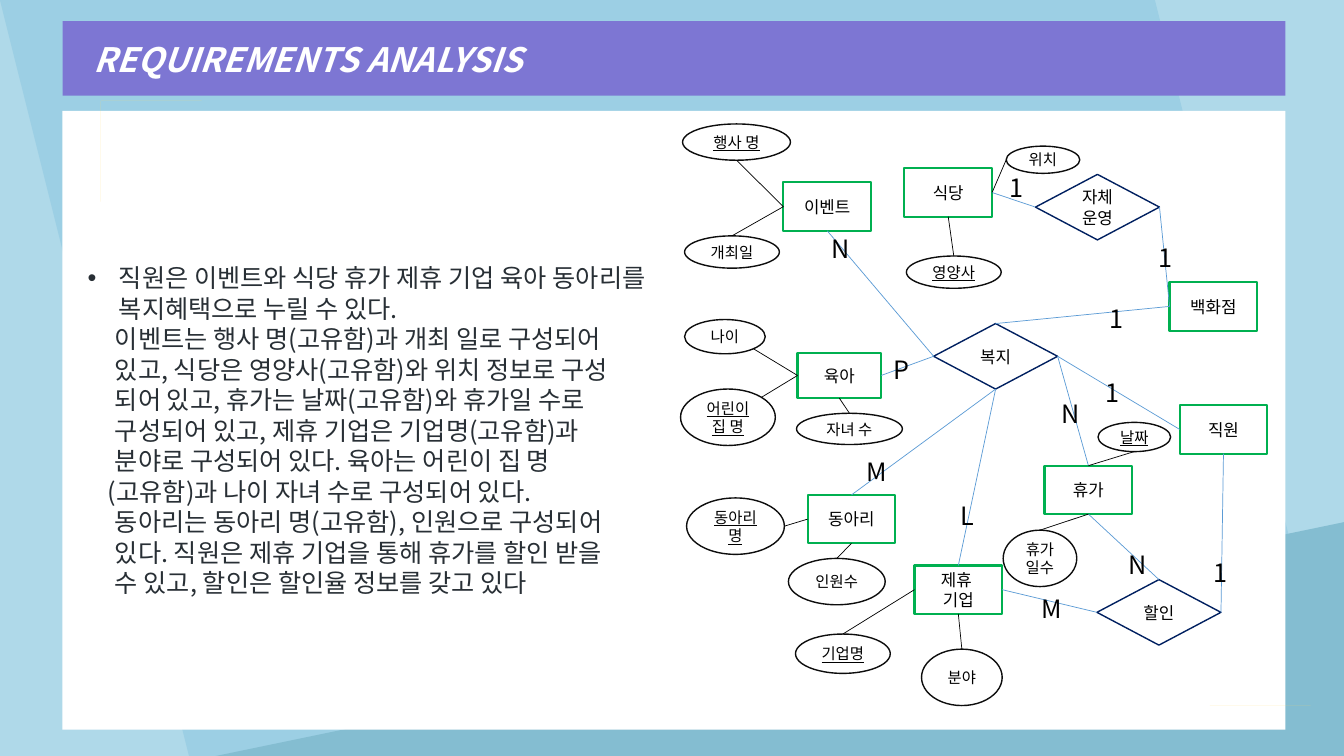
from math import cos, radians, sin

from lxml.etree import SubElement
from pptx import Presentation
from pptx.dml.color import RGBColor
from pptx.enum.shapes import MSO_CONNECTOR, MSO_SHAPE
from pptx.enum.text import MSO_ANCHOR, MSO_AUTO_SIZE, PP_ALIGN
from pptx.oxml.ns import qn
from pptx.util import Inches, Pt

FONT = "Noto Sans CJK KR"
PALE, SKY, TEAL = RGBColor(0xAF, 0xD9, 0xE9), RGBColor(0x9C, 0xCF, 0xE4), RGBColor(0x84, 0xBD, 0xD1)
PURPLE, YELLOW = RGBColor(0x7D, 0x76, 0xD3), RGBColor(0xFF, 0xD9, 0x66)
WHITE, BLACK, INK = RGBColor(255, 255, 255), RGBColor(0, 0, 0), RGBColor(0x28, 0x2F, 0x35)
GREEN, NAVY, BLUE = RGBColor(0, 0xB0, 0x50), RGBColor(0, 0x20, 0x60), RGBColor(0x5B, 0x9B, 0xD5)
OUTLINE = RGBColor(0x0D, 0x0D, 0x0D)
TOP, LEFT, BOTTOM, RIGHT = range(4)

TITLE = "REQUIREMENTS ANALYSIS"
# Requirement lines: left indent, text
REQUIREMENTS = [
    (0.31, "직원은 이벤트와 식당 휴가 제휴 기업 육아 동아리를 복지혜택으로 누릴 수 있다."),
    (0.27, "이벤트는 행사 명(고유함)과 개최 일로 구성되어"),
    (0.27, "있고, 식당은 영양사(고유함)와 위치 정보로 구성"),
    (0.27, "되어 있고, 휴가는 날짜(고유함)와 휴가일 수로"),
    (0.27, "구성되어 있고, 제휴 기업은 기업명(고유함)과"),
    (0.27, "분야로 구성되어 있다. 육아는 어린이 집 명"),
    (0.2, "(고유함)과 나이 자녀 수로 구성되어 있다."),
    (0.27, "동아리는 동아리 명(고유함), 인원으로 구성되어"),
    (0.27, "있다. 직원은 제휴 기업을 통해 휴가를 할인 받을"),
    (0.27, "수 있고, 할인은 할인율 정보를 갖고 있다"),
]
# Entities: text, left, top, width, height
ENTITIES = [
    ("백화점", 11.6, 2.8, 0.87, 0.48), ("이벤트", 7.77, 1.81, 0.87, 0.48),
    ("식당", 8.97, 1.67, 0.87, 0.48), ("육아", 7.91, 3.5, 0.83, 0.45),
    ("휴가", 10.36, 4.62, 0.87, 0.48), ("제휴 \n기업", 9.07, 5.61, 0.87, 0.48),
    ("동아리", 8.01, 4.91, 0.87, 0.48), ("직원", 11.7, 4.02, 0.87, 0.48),
]
RELATIONSHIPS = [
    ("할인", 10.88, 5.75, 1.23, 0.65), ("복지", 9.26, 3.21, 1.23, 0.65),
    ("자체\n운영", 10.27, 1.73, 1.23, 0.65),
]
LINKS = [
    ("자체\n운영", RIGHT, "백화점", LEFT), ("식당", RIGHT, "자체\n운영", LEFT),
    ("동아리", TOP, "복지", BOTTOM), ("육아", RIGHT, "복지", LEFT),
    ("이벤트", BOTTOM, "복지", LEFT), ("복지", BOTTOM, "제휴 \n기업", TOP),
    ("복지", RIGHT, "휴가", TOP), ("휴가", BOTTOM, "할인", TOP),
    ("제휴 \n기업", RIGHT, "할인", LEFT), ("할인", RIGHT, "직원", BOTTOM),
    ("복지", TOP, "백화점", LEFT), ("복지", RIGHT, "직원", LEFT),
]
# Attributes: text, box, is key, angle where the line leaves (clockwise from right), entity, side
ATTRIBUTES = [
    ("개최일", (6.79, 2.34, 0.94, 0.32), False, 270, "이벤트", LEFT),
    ("행사 명", (6.77, 1.23, 1.07, 0.36), True, 90, "이벤트", LEFT),
    ("위치", (9.98, 1.45, 0.73, 0.27), False, 180, "식당", RIGHT),
    ("영양사", (8.99, 2.54, 0.94, 0.32), True, 270, "식당", BOTTOM),
    ("인원수", (7.82, 5.54, 0.96, 0.46), False, 270, "동아리", BOTTOM),
    ("동아리 명", (6.81, 4.94, 0.97, 0.56), True, 0, "동아리", LEFT),
    ("분야", (9.14, 6.44, 0.8, 0.56), False, 270, "제휴 \n기업", BOTTOM),
    ("기업명", (7.89, 6.29, 0.94, 0.39), True, 270, "제휴 \n기업", LEFT),
    ("휴가 일수", (9.95, 5.26, 0.73, 0.56), False, 270, "휴가", BOTTOM),
    ("날짜", (10.89, 4.19, 0.72, 0.29), True, 90, "휴가", TOP),
    ("어린이 집 명", (6.75, 3.86, 0.94, 0.56), True, 315, "육아", LEFT),
    ("자녀 수", (7.9, 4.1, 1.05, 0.31), False, 270, "육아", BOTTOM),
    ("나이", (6.79, 3.17, 0.8, 0.34), False, 45, "육아", LEFT),
]
# Cardinalities: text, left, top, width
CARDINALITIES = [
    ("1", 9.91, 1.66, 0.34), ("1", 11.39, 2.35, 0.34), ("N", 11.09, 5.4, 0.39),
    ("1", 11.94, 5.48, 0.34), ("N", 8.15, 2.26, 0.39), ("M", 8.5, 4.48, 0.43),
    ("L", 9.43, 4.91, 0.32), ("M", 10.23, 5.83, 0.43), ("P", 8.76, 3.46, 0.35),
    ("1", 10.91, 2.96, 0.34), ("1", 10.87, 3.69, 0.34), ("N", 10.43, 3.9, 0.39),
]
# Panel corners: straight points, then the four control points of the curve
CORNERS = [
    ([(0.62, 1.1), (1.65, 1.1)], [(1.54, 1.11), (1.02, 1.16), (0.62, 1.6), (0.62, 2.13)]),
    ([(12.75, 6.52), (12.75, 7.24), (12.04, 7.24)],
     [(12.06, 7.24), (12.38, 7.13), (12.63, 6.88), (12.74, 6.56)]),
]

deck = Presentation()
deck.slide_width, deck.slide_height = Inches(13.33), Inches(7.5)
page = deck.slides.add_slide(deck.slide_layouts[1])
page.background.fill.solid()
page.background.fill.fore_color.rgb = PALE


def paint(shape, fill=None, line=None, width=1):
    shape.shadow.inherit = False
    if fill is None:
        shape.fill.background()
    else:
        shape.fill.solid()
        shape.fill.fore_color.rgb = fill
    if line is None:
        shape.line.fill.background()
    else:
        shape.line.color.rgb = line
        shape.line.width = Pt(width)


def add_preset(shapes, kind, box, *look):
    shape = shapes.add_shape(kind, *map(Inches, box))
    paint(shape, *look)
    return shape


def write(shape, text, size, color=BLACK, align=PP_ALIGN.CENTER, anchor=MSO_ANCHOR.MIDDLE,
          wrap=True, underline=None):
    frame = shape.text_frame
    frame.text = text
    frame.word_wrap, frame.auto_size, frame.vertical_anchor = wrap, MSO_AUTO_SIZE.NONE, anchor
    for para in frame.paragraphs:
        para.alignment, para.line_spacing = align, Pt(round(size * 1.21, 1))
        para.space_before = Pt(0)
        for span in para.runs:
            font = span.font
            font.name, font.size, font.underline = FONT, Pt(size), underline
            font.color.rgb = color
            SubElement(font._element, qn("a:ea")).set("typeface", FONT)
    return frame


def add_line(color, start=(0, 0), end=(0, 0)):
    line = page.shapes.add_connector(MSO_CONNECTOR.STRAIGHT, *map(Inches, start + end))
    line.line.color.rgb, line.line.width = color, Pt(0.5)
    SubElement(line.element.spPr, qn("a:effectLst"))
    return line


def curve_points(controls, steps=24):
    for step in range(steps + 1):
        t = step / steps
        weights = ((1 - t) ** 3, 3 * t * (1 - t) ** 2, 3 * t * t * (1 - t), t ** 3)
        yield tuple(sum(w * point[axis] for w, point in zip(weights, controls)) for axis in (0, 1))


# Backdrop
for kind, box, color in [(MSO_SHAPE.PARALLELOGRAM, (0, 0, 13.33, 7.5), SKY),
                         (MSO_SHAPE.RIGHT_TRIANGLE, (2.14, 5.18, 11.19, 2.32), TEAL)]:
    backdrop = add_preset(page.shapes, kind, box, color)
    backdrop.element.spPr.find(qn("a:xfrm")).set("flipH", "1")

# White panel with rounded-off corners
panel = page.shapes.add_group_shape()
add_preset(panel.shapes, MSO_SHAPE.RECTANGLE, (0.62, 1.1, 12.13, 6.14), WHITE)
for straight, controls in CORNERS:
    points = straight + list(curve_points(controls))
    builder = panel.shapes.build_freeform(*points[0], scale=Inches(1))
    builder.add_line_segments(points[1:], close=True)
    paint(builder.convert_to_shape(), YELLOW)

# Title bar and requirements, placed in front of the backdrop
title, body = page.shapes.title, page.placeholders[1]
for holder, box in [(title, (0.62, 0.21, 12.13, 0.74)), (body, (0.77, 2.55, 5.89, 3.43))]:
    holder.left, holder.top, holder.width, holder.height = map(Inches, box)
    holder.element.getparent().append(holder.element)
title.fill.solid()
title.fill.fore_color.rgb = PURPLE
heading = write(title, TITLE, 24, WHITE, PP_ALIGN.LEFT)
heading.margin_left = Inches(0.31)
heading.paragraphs[0].runs[0].font.bold = heading.paragraphs[0].runs[0].font.italic = True

listing = write(body, "\n".join(text for _, text in REQUIREMENTS), 18, INK,
                PP_ALIGN.LEFT, MSO_ANCHOR.TOP)
for row, (para, (indent, _)) in enumerate(zip(listing.paragraphs, REQUIREMENTS)):
    props = para._p.get_or_add_pPr()
    props.set("marL", str(Inches(indent)))
    props.set("indent", str(0 if row else -Inches(indent)))
    if row:
        SubElement(props, qn("a:buNone"))
    else:
        SubElement(props, qn("a:buFont")).set("typeface", "Arial")
        SubElement(props, qn("a:buChar")).set("char", "•")

# Entities and relationships
nodes = {}
for kind, items, color, width in [(MSO_SHAPE.RECTANGLE, ENTITIES, GREEN, 1.5),
                                  (MSO_SHAPE.DIAMOND, RELATIONSHIPS, NAVY, 1)]:
    for text, *box in items:
        nodes[text] = add_preset(page.shapes, kind, box, WHITE, color, width)
        write(nodes[text], text, 12)
for source, source_side, target, target_side in LINKS:
    link = add_line(BLUE)
    link.begin_connect(nodes[source], source_side)
    link.end_connect(nodes[target], target_side)

# Attributes, each joined to its entity
for text, box, is_key, angle, entity, side in ATTRIBUTES:
    write(add_preset(page.shapes, MSO_SHAPE.OVAL, box, None, OUTLINE), text, 11,
          underline=is_key or None)
    left, top, width, height = box
    start = (left + width / 2 * (1 + cos(radians(angle))),
             top + height / 2 * (1 + sin(radians(angle))))
    add_line(BLACK, start, start).end_connect(nodes[entity], side)

# Cardinalities
for text, left, top, width in CARDINALITIES:
    label = page.shapes.add_textbox(*map(Inches, (left, top, width, 0.4)))
    write(label, text, 18, align=PP_ALIGN.LEFT, anchor=MSO_ANCHOR.TOP, wrap=False)

deck.save("out.pptx")
